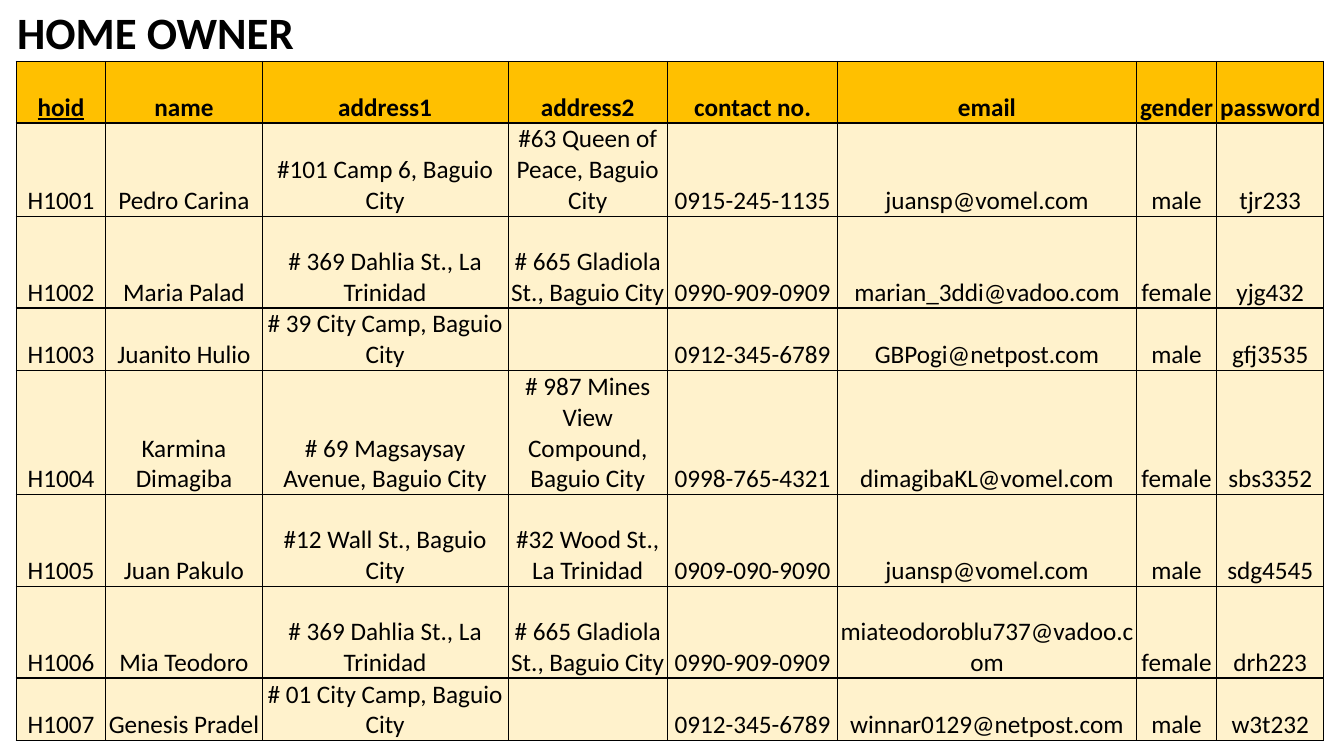
"""Build the HOME OWNER sample-data slide as one bordered table."""
from dataclasses import dataclass

from lxml.etree import SubElement
from pptx import Presentation
from pptx.dml.color import RGBColor as RGB
from pptx.enum.text import MSO_ANCHOR as ANCHOR, PP_ALIGN as ALIGN
from pptx.oxml.ns import qn
from pptx.util import Inches, Pt


@dataclass(frozen=True)
class Theme:
    font: str = "Calibri"
    ink: str = "000000"
    header: str = "FFC000"
    body: str = "FFF2CC"
    title_size: int = 32
    text_size: int = 18
    border: int = 1


theme = Theme()

TITLE = "HOME OWNER"
HEADERS = ["hoid", "name", "address1", "address2", "contact no.", "email", "gender", "password"]
OWNERS = [
    ["H1001", "Pedro Carina", "#101 Camp 6, Baguio City", "#63 Queen of Peace, Baguio City",
     "0915-245-1135", "juansp@vomel.com", "male", "tjr233"],
    ["H1002", "Maria Palad", "# 369 Dahlia St., La Trinidad", "# 665 Gladiola St., Baguio City",
     "0990-909-0909", "marian_3ddi@vadoo.com", "female", "yjg432"],
    ["H1003", "Juanito Hulio", "# 39 City Camp, Baguio City", "",
     "0912-345-6789", "GBPogi@netpost.com", "male", "gfj3535"],
    ["H1004", "Karmina Dimagiba", "# 69 Magsaysay Avenue, Baguio City",
     "# 987 Mines View Compound, Baguio City",
     "0998-765-4321", "dimagibaKL@vomel.com", "female", "sbs3352"],
    ["H1005", "Juan Pakulo", "#12 Wall St., Baguio City", "#32 Wood St., La Trinidad",
     "0909-090-9090", "juansp@vomel.com", "male", "sdg4545"],
    ["H1006", "Mia Teodoro", "# 369 Dahlia St., La Trinidad", "# 665 Gladiola St., Baguio City",
     "0990-909-0909", "miateodoroblu737@vadoo.com", "female", "drh223"],
    ["H1007", "Genesis Pradel", "# 01 City Camp, Baguio City", "",
     "0912-345-6789", "winnar0129@netpost.com", "male", "w3t232"],
]
COL_WIDTHS = [0.89, 1.55, 2.44, 1.58, 1.69, 2.96, 0.8, 1.06]
ROW_LINES = [2, 2, 3, 3, 2, 4, 3, 3, 2]
LINE_HEIGHT, PAD = 0.3, 0.01


def set_borders(cell, visible):
    """Draw the named sides of a cell and clear the others."""
    tc_pr = cell._tc.get_or_add_tcPr()
    for side in "LRTB":
        ln = SubElement(tc_pr, qn(f"a:ln{side}"), w=str(Pt(theme.border)))
        if side in visible:
            fill = SubElement(ln, qn("a:solidFill"))
            SubElement(fill, qn("a:srgbClr"), val=theme.ink)
        else:
            SubElement(ln, qn("a:noFill"))


def add_run(p, text, size, bold, underline=False):
    """Add one formatted run to a paragraph."""
    r = p.add_run()
    r.text = text
    r.font.name = theme.font
    r.font.size = Pt(size)
    r.font.bold = bold
    r.font.underline = underline
    r.font.color.rgb = RGB.from_string(theme.ink)


prs = Presentation()
prs.slide_width, prs.slide_height = Inches(13.33), Inches(7.5)
s = prs.slides.add_slide(prs.slide_layouts[6])

rows = [[TITLE] + [""] * (len(HEADERS) - 1), HEADERS, *OWNERS]
heights = [LINE_HEIGHT * n + PAD for n in ROW_LINES]
sp = s.shapes.add_table(len(rows), len(HEADERS), Inches(0.16), 0,
                        Inches(sum(COL_WIDTHS)), Inches(sum(heights)))
table = sp.table
table.first_row = table.horz_banding = False
for col, width in zip(table.columns, COL_WIDTHS):
    col.width = Inches(width)
for row, height in zip(table.rows, heights):
    row.height = Inches(height)
table.cell(0, 0).merge(table.cell(0, len(HEADERS) - 1))

for i, values in enumerate(rows):
    is_title, is_header = i == 0, i == 1
    for j, text in enumerate(values):
        cell = table.cell(i, j)
        cell.vertical_anchor = ANCHOR.BOTTOM
        cell.margin_left = cell.margin_right = cell.margin_top = Inches(PAD)
        cell.margin_bottom = 0
        set_borders(cell, "B" if is_title else "LRTB")
        if is_title:
            cell.fill.background()
        else:
            cell.fill.solid()
            cell.fill.fore_color.rgb = RGB.from_string(theme.header if is_header else theme.body)
        p = cell.text_frame.paragraphs[0]
        p.alignment = ALIGN.LEFT if is_title else ALIGN.CENTER
        if text:
            add_run(p, text, theme.title_size if is_title else theme.text_size,
                    is_title or is_header, underline=is_header and j == 0)

prs.save("out.pptx")
